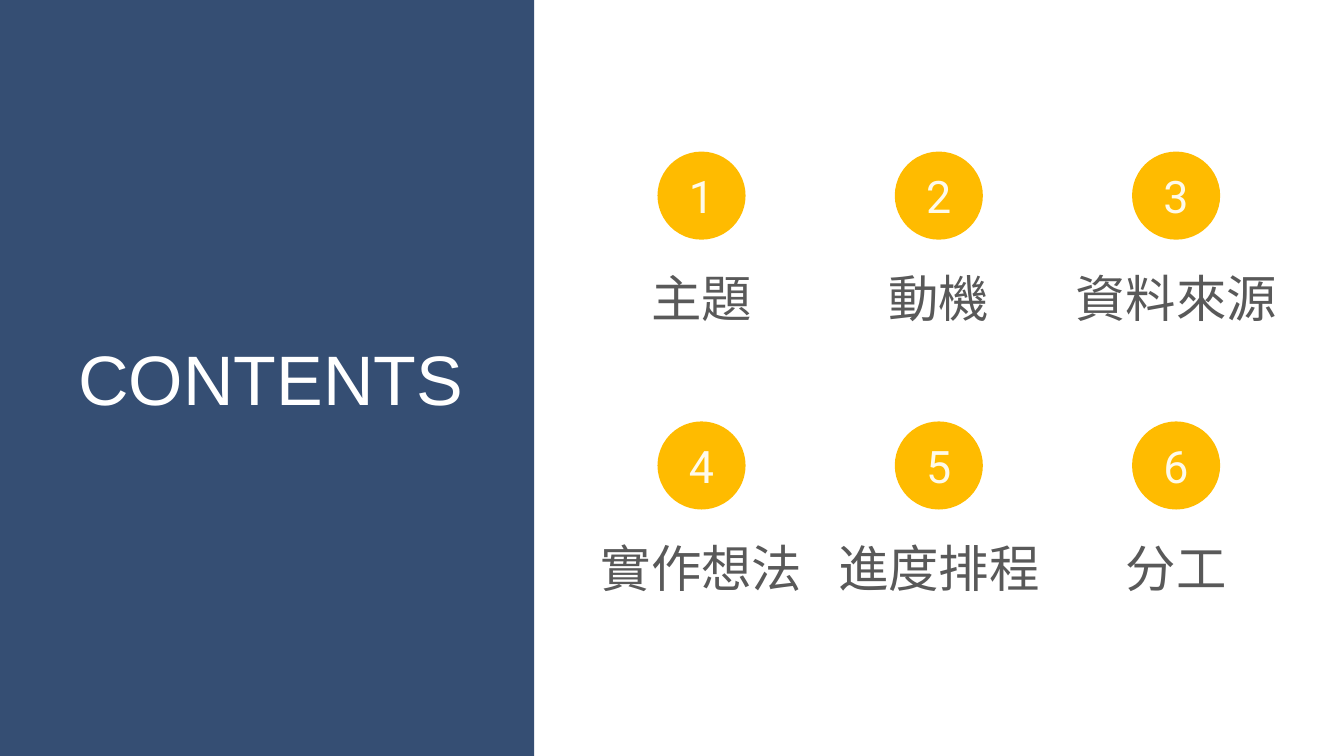
"""Build a contents slide with six numbered topics beside a blue title panel."""
from pptx import Presentation
from pptx.dml.color import RGBColor
from pptx.enum.shapes import MSO_SHAPE
from pptx.enum.text import MSO_ANCHOR, MSO_AUTO_SIZE, PP_ALIGN
from pptx.util import Cm, Pt

COLORS = {
    "panel": "354E73",
    "title": "FFFFFF",
    "circle": "FFBB00",
    "number": "FEFAEB",
    "label": "595959",
}
TOPICS = ["主題", "動機", "資料來源", "實作想法", "進度排程", "分工"]
COLUMNS = 3
CIRCLE_SIZE = 2.22


def write_text(shape, text, *, size, color, font="Roboto", anchor=MSO_ANCHOR.TOP,
               auto_size=MSO_AUTO_SIZE.SHAPE_TO_FIT_TEXT):
    frame = shape.text_frame
    frame.word_wrap = False
    frame.auto_size = auto_size
    frame.vertical_anchor = anchor
    paragraph = frame.paragraphs[0]
    paragraph.alignment = PP_ALIGN.CENTER
    run = paragraph.add_run()
    run.text = text
    run.font.name = font
    run.font.size = Pt(size)
    run.font.color.rgb = RGBColor.from_string(COLORS[color])


def add_filled_shape(shapes, kind, left, top, width, height, *, color):
    shape = shapes.add_shape(kind, Cm(left), Cm(top), Cm(width), Cm(height))
    shape.shadow.inherit = False
    shape.fill.solid()
    shape.fill.fore_color.rgb = RGBColor.from_string(COLORS[color])
    shape.line.fill.background()
    return shape


presentation = Presentation()
presentation.slide_width = Cm(33.87)
presentation.slide_height = Cm(19.05)
slide = presentation.slides.add_slide(presentation.slide_layouts[5])

panel = add_filled_shape(slide.shapes, MSO_SHAPE.RECTANGLE, 0, 0, 13.46, 19.05, color="panel")
title = slide.shapes.title
title.left, title.top, title.width, title.height = Cm(1.42), Cm(8.33), Cm(10.82), Cm(2.39)
write_text(title, "CONTENTS", size=50, color="title", font="Arial")
panel.element.addnext(title.element)

for index, topic in enumerate(TOPICS):
    row, column = divmod(index, COLUMNS)
    center = 17.68 + 5.98 * column
    top = 3.82 + 6.8 * row
    group = slide.shapes.add_group_shape()

    circle = add_filled_shape(group.shapes, MSO_SHAPE.OVAL, center - CIRCLE_SIZE / 2, top,
                              CIRCLE_SIZE, CIRCLE_SIZE, color="circle")
    write_text(circle, str(index + 1), size=32, color="number",
               anchor=MSO_ANCHOR.MIDDLE, auto_size=MSO_AUTO_SIZE.NONE)

    label_width = 0.5 + 1.28 * len(topic)
    label = group.shapes.add_textbox(Cm(center - label_width / 2), Cm(top + 2.79),
                                     Cm(label_width), Cm(1.8))
    write_text(label, topic, size=36, color="label")

presentation.save("out.pptx")
